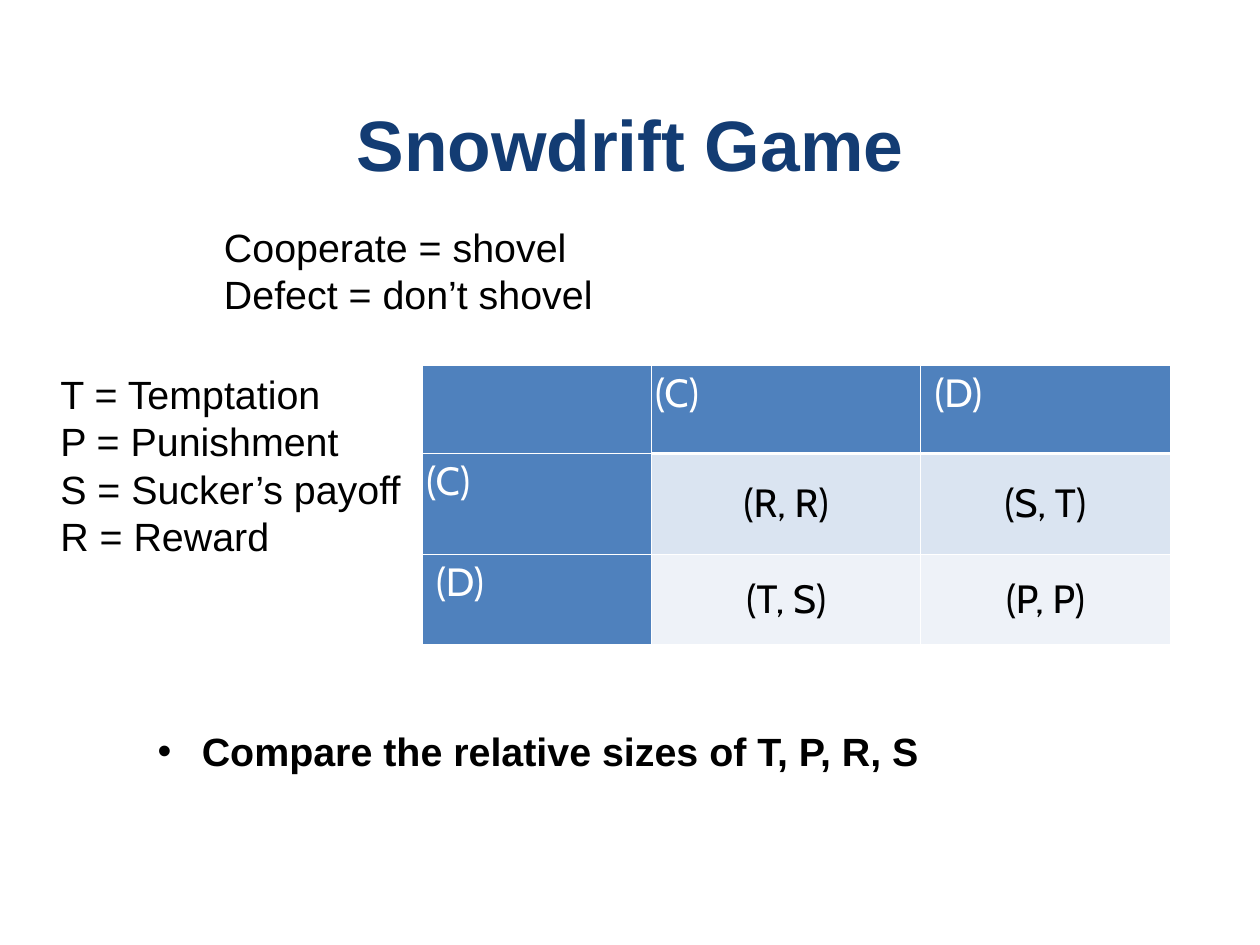
from pptx import Presentation
from pptx.dml.color import RGBColor
from pptx.enum.text import MSO_ANCHOR, MSO_AUTO_SIZE, PP_ALIGN
from pptx.oxml import parse_xml
from pptx.oxml.ns import nsdecls
from pptx.util import Pt

TOP, MIDDLE = MSO_ANCHOR.TOP, MSO_ANCHOR.MIDDLE
LEFT, CENTER = PP_ALIGN.LEFT, PP_ALIGN.CENTER
NO_AUTOFIT = MSO_AUTO_SIZE.NONE


def color(hex_value):
    return RGBColor.from_string(hex_value)


def write_text(text_frame, lines, alignment, hex_value, font_format):
    for index, line in enumerate(lines):
        paragraph = text_frame.paragraphs[0] if index == 0 else text_frame.add_paragraph()
        paragraph.text = line
        paragraph.alignment = alignment
        paragraph.space_before = Pt(0)
        for name, value in font_format.items():
            setattr(paragraph.font, name, value)
        paragraph.font.color.rgb = color(hex_value)


presentation = Presentation()
presentation.slide_width, presentation.slide_height = Pt(1024), Pt(768)
slide = presentation.slides.add_slide(presentation.slide_layouts[1])
title, body = slide.placeholders

# Title, definitions and question
title_format = {"name": "Arial", "size": Pt(58), "bold": True}
plain_format = {"name": "Arial", "size": Pt(32), "bold": False}
question_format = {"name": "Arial", "size": Pt(32), "bold": True}
strategies = slide.shapes.add_textbox(0, 0, 0, 0)
payoffs = slide.shapes.add_textbox(0, 0, 0, 0)
text_parts = [
    (title, (100, 20, 824, 192), 4.5, MIDDLE, CENTER, "133C73", title_format,
     ["Snowdrift Game"]),
    (strategies, (182, 181, 754, 117), 0, TOP, LEFT, "000000", plain_format,
     ["Cooperate = shovel", "Defect = don’t shovel"]),
    (payoffs, (49, 301, 294, 233), 0, TOP, LEFT, "000000", plain_format,
     ["T = Temptation", "P = Punishment", "S = Sucker’s payoff", "R = Reward"]),
    (body, (128, 591, 754, 78), 0, TOP, LEFT, "000000", question_format,
     ["Compare the relative sizes of T, P, R, S"]),
]
for shape, place, inset, anchor, alignment, hex_value, font_format, lines in text_parts:
    shape.left, shape.top, shape.width, shape.height = map(Pt, place)
    frame_format = {"word_wrap": True, "auto_size": NO_AUTOFIT, "vertical_anchor": anchor}
    for side in ("left", "top", "right", "bottom"):
        frame_format["margin_" + side] = Pt(inset)
    for name, value in frame_format.items():
        setattr(shape.text_frame, name, value)
    write_text(shape.text_frame, lines, alignment, hex_value, font_format)

# Hanging bullet of the question
question_properties = body.text_frame.paragraphs[0]._p.get_or_add_pPr()
question_properties.set("marL", str(Pt(36)))
question_properties.set("indent", str(Pt(-36)))

# Payoff matrix
matrix = [
    ["", "(C)", "(D)"],
    ["(C)", "(R, R)", "(S, T)"],
    ["(D)", "(T, S)", "(P, P)"],
]
payoff_fills = {1: "DAE4F1", 2: "EEF2F8"}
column_widths = [186, 219, 202.5]
row_heights = [71.5, 82, 73]
cell_format = {"name": "Cabin", "size": Pt(32), "bold": False}
table = slide.shapes.add_table(
    3, 3, Pt(343.5), Pt(297), Pt(sum(column_widths)), Pt(sum(row_heights))).table
table.first_row = table.horz_banding = False
for column, width in zip(table.columns, column_widths):
    column.width = Pt(width)
for row, height in zip(table.rows, row_heights):
    row.height = Pt(height)

for row_index, labels in enumerate(matrix):
    for column_index, label in enumerate(labels):
        cell = table.cell(row_index, column_index)
        is_header = row_index == 0 or column_index == 0
        cell.margin_left = Pt(11 if label == "(D)" else 3)
        cell.margin_top = cell.margin_right = cell.margin_bottom = Pt(3)
        cell.vertical_anchor = TOP if is_header else MIDDLE
        write_text(cell.text_frame, [label], LEFT if is_header else CENTER,
                   "FFFFFF" if is_header else "000000", cell_format)

        # White borders, thick between header row and payoffs
        thick_side = {0: "B", 1: "T"}.get(row_index) if column_index else None
        cell_properties = cell._tc.get_or_add_tcPr()
        for side in "LRTB":
            width = Pt(3 if side == thick_side else 1)
            cell_properties.append(parse_xml(
                f'<a:ln{side} {nsdecls("a")} w="{width}"><a:solidFill>'
                f'<a:srgbClr val="FFFFFF"/></a:solidFill></a:ln{side}>'))
        cell.fill.solid()
        cell.fill.fore_color.rgb = color("4F81BD" if is_header else payoff_fills[row_index])

presentation.save("out.pptx")
